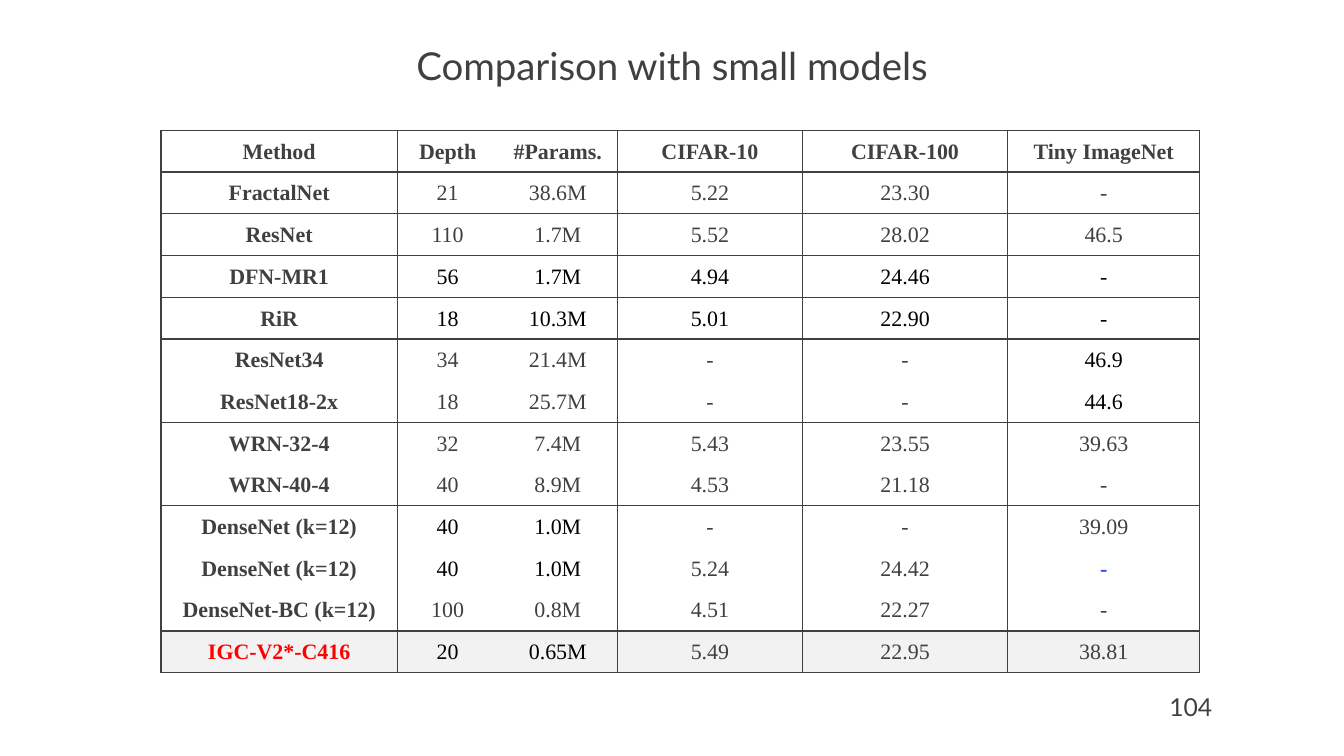
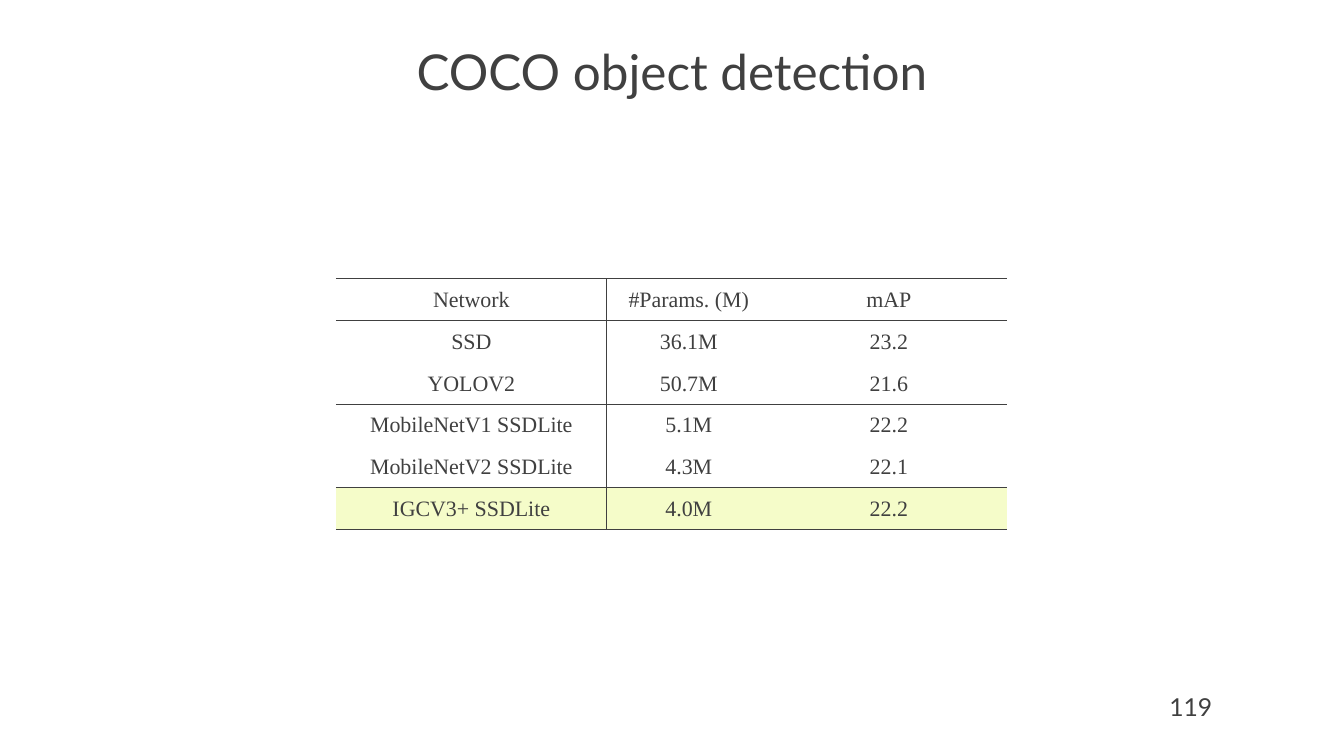
from dataclasses import dataclass, field
from typing import NamedTuple

from lxml.etree import SubElement
from pptx import Presentation
from pptx.dml.color import RGBColor
from pptx.enum.text import MSO_ANCHOR as Anchor, MSO_AUTO_SIZE as AutoSize, PP_ALIGN as Align
from pptx.oxml import parse_xml
from pptx.oxml.ns import nsdecls, qn
from pptx.util import Inches, Pt


@dataclass(frozen=True)
class Theme:
    ink: str = "404040"
    black: str = "000000"
    red: str = "FF0000"
    blue: str = "2348FF"
    white: str = "FFFFFF"
    grey: str = "F2F2F2"
    lime: str = "F5FCC9"
    sans: str = "Lato"
    serif: str = "Times New Roman"
    cell_size: int = 16
    page_size: int = 18
    rule: int = 1
    heavy_rule: int = 2
    plain_table: str = "{2D5ABB26-0587-4C30-8999-92F81FD0307C}"


T = Theme()


class Mark(NamedTuple):
    color: str
    bold: bool = False


BLACK = Mark(T.black)


@dataclass
class Row:
    values: list[str]
    fill: str = T.white
    marks: dict[int, Mark] = field(default_factory=dict)


@dataclass
class Grid:
    left: float
    top: float
    height: float
    widths: list[float]
    rows: list[Row]
    row_rules: dict[int, int]
    col_rules: dict[int, int]
    bold_heads: bool = False


@dataclass
class Page:
    title: str
    title_size: int
    title_height: float
    number: str
    grid: Grid


def rules(*edges: int) -> dict[int, int]:
    return dict.fromkeys(edges, T.rule)


def black(*columns: int) -> dict[int, Mark]:
    return dict.fromkeys(columns, BLACK)


def add_run(p, text: str, font: str, size: int, color: str = T.ink, bold: bool = False) -> None:
    p.alignment = Align.CENTER
    r = p.add_run()
    r.text = text
    r.font.name = font
    r.font.size = Pt(size)
    r.font.bold = bold
    r.font.color.rgb = RGBColor.from_string(color)


def set_borders(cell, left: int, right: int, top: int, bottom: int) -> None:
    tc_pr = cell._tc.get_or_add_tcPr()
    sides = (("lnL", left), ("lnR", right), ("lnT", top), ("lnB", bottom))
    for i, (tag, width) in enumerate(sides):
        ln = parse_xml(f'<a:{tag} {nsdecls("a")} w="{Pt(width)}"/>')
        if width:
            fill = SubElement(ln, qn("a:solidFill"))
            SubElement(fill, qn("a:srgbClr"), val=T.ink)
        else:
            SubElement(ln, qn("a:noFill"))
        tc_pr.insert(i, ln)


def add_grid(s, grid: Grid) -> None:
    frame = s.shapes.add_table(
        len(grid.rows), len(grid.widths), Inches(grid.left), Inches(grid.top),
        Inches(sum(grid.widths)), Inches(grid.height))
    table = frame.table
    table.first_row = table.horz_banding = False
    table._tbl.tblPr.find(qn("a:tableStyleId")).text = T.plain_table
    for column, width in zip(table.columns, grid.widths):
        column.width = Inches(width)
    for i, row in enumerate(grid.rows):
        table.rows[i].height = Inches(grid.height / len(grid.rows))
        for j, value in enumerate(row.values):
            cell = table.cell(i, j)
            cell.vertical_anchor = Anchor.MIDDLE
            cell.margin_left = cell.margin_right = cell.margin_top = Inches(0.01)
            cell.margin_bottom = 0
            cell.fill.solid()
            cell.fill.fore_color.rgb = RGBColor.from_string(row.fill)
            set_borders(cell, grid.col_rules.get(j, 0), grid.col_rules.get(j + 1, 0),
                        grid.row_rules.get(i, 0), grid.row_rules.get(i + 1, 0))
            is_head = grid.bold_heads and (i == 0 or j == 0)
            mark = row.marks.get(j, Mark(T.ink))
            add_run(cell.text_frame.paragraphs[0], value, T.serif, T.cell_size,
                    mark.color, mark.bold or is_head)


def add_title(s, page: Page) -> None:
    sp = s.shapes.title
    sp.left, sp.top = Inches(0.5), Inches(0.32)
    sp.width, sp.height = Inches(12.6), Inches(page.title_height)
    tf = sp.text_frame
    tf.word_wrap = True
    tf.auto_size = AutoSize.SHAPE_TO_FIT_TEXT
    tf.vertical_anchor = Anchor.TOP
    tf.margin_left = tf.margin_right = Inches(0.2)
    tf.margin_top = tf.margin_bottom = Inches(0.16)
    p = tf.paragraphs[0]
    p.line_spacing = 0.9
    p.space_after = Pt(6)
    add_run(p, page.title, T.sans, page.title_size)


def add_page_number(s, number: str) -> None:
    sp = s.shapes.add_textbox(Inches(10.55), Inches(6.95), Inches(3), Inches(0.4))
    tf = sp.text_frame
    tf.word_wrap = True
    add_run(tf.paragraphs[0], number, T.sans, T.page_size)


SMALL_MODELS = Grid(
    left=1.63, top=1.32, height=5.49,
    widths=[2.39, 1.02, 1.21, 1.87, 2.08, 1.94],
    rows=[
        Row(["Method", "Depth", "#Params.", "CIFAR-10", "CIFAR-100", "Tiny ImageNet"]),
        Row(["FractalNet", "21", "38.6M", "5.22", "23.30", "-"]),
        Row(["ResNet", "110", "1.7M", "5.52", "28.02", "46.5"]),
        Row(["DFN-MR1", "56", "1.7M", "4.94", "24.46", "-"], marks=black(1, 2, 3, 4, 5)),
        Row(["RiR", "18", "10.3M", "5.01", "22.90", "-"], marks=black(1, 2, 3, 4, 5)),
        Row(["ResNet34", "34", "21.4M", "-", "-", "46.9"], marks=black(5)),
        Row(["ResNet18-2x", "18", "25.7M", "-", "-", "44.6"], marks=black(5)),
        Row(["WRN-32-4", "32", "7.4M", "5.43", "23.55", "39.63"]),
        Row(["WRN-40-4", "40", "8.9M", "4.53", "21.18", "-"]),
        Row(["DenseNet (k=12)", "40", "1.0M", "-", "-", "39.09"], marks=black(1, 2)),
        Row(["DenseNet (k=12)", "40", "1.0M", "5.24", "24.42", "-"],
            marks=black(1, 2) | {5: Mark(T.blue, True)}),
        Row(["DenseNet-BC (k=12)", "100", "0.8M", "4.51", "22.27", "-"]),
        Row(["IGC-V2*-C416", "20", "0.65M", "5.49", "22.95", "38.81"], T.grey,
            black(1, 2) | {0: Mark(T.red, True)}),
    ],
    row_rules=rules(0, 2, 3, 4, 5, 7, 9, 12, 13) | {1: T.heavy_rule},
    col_rules=rules(0, 1, 3, 4, 5, 6),
    bold_heads=True,
)

DETECTION = Grid(
    left=3.4, top=2.82, height=2.54,
    widths=[2.74, 1.66, 2.39],
    rows=[
        Row(["Network", "#Params. (M)", "mAP"]),
        Row(["SSD", "36.1M", "23.2"]),
        Row(["YOLOV2", "50.7M", "21.6"]),
        Row(["MobileNetV1 SSDLite", "5.1M", "22.2"]),
        Row(["MobileNetV2 SSDLite", "4.3M", "22.1"]),
        Row(["IGCV3+ SSDLite", "4.0M", "22.2"], T.lime),
    ],
    row_rules=rules(0, 1, 3, 5, 6),
    col_rules=rules(1),
)

PAGES = [
    Page("Comparison with small models", 28, 0.75, "104", SMALL_MODELS),
    Page("COCO object detection", 36, 0.87, "119", DETECTION),
]


def main() -> None:
    prs = Presentation()
    prs.slide_width, prs.slide_height = Inches(13.6), Inches(7.65)
    title_only = prs.slide_layouts[5]
    for page in PAGES:
        s = prs.slides.add_slide(title_only)
        add_title(s, page)
        add_grid(s, page.grid)
        add_page_number(s, page.number)
    prs.save("out.pptx")


if __name__ == "__main__":
    main()
